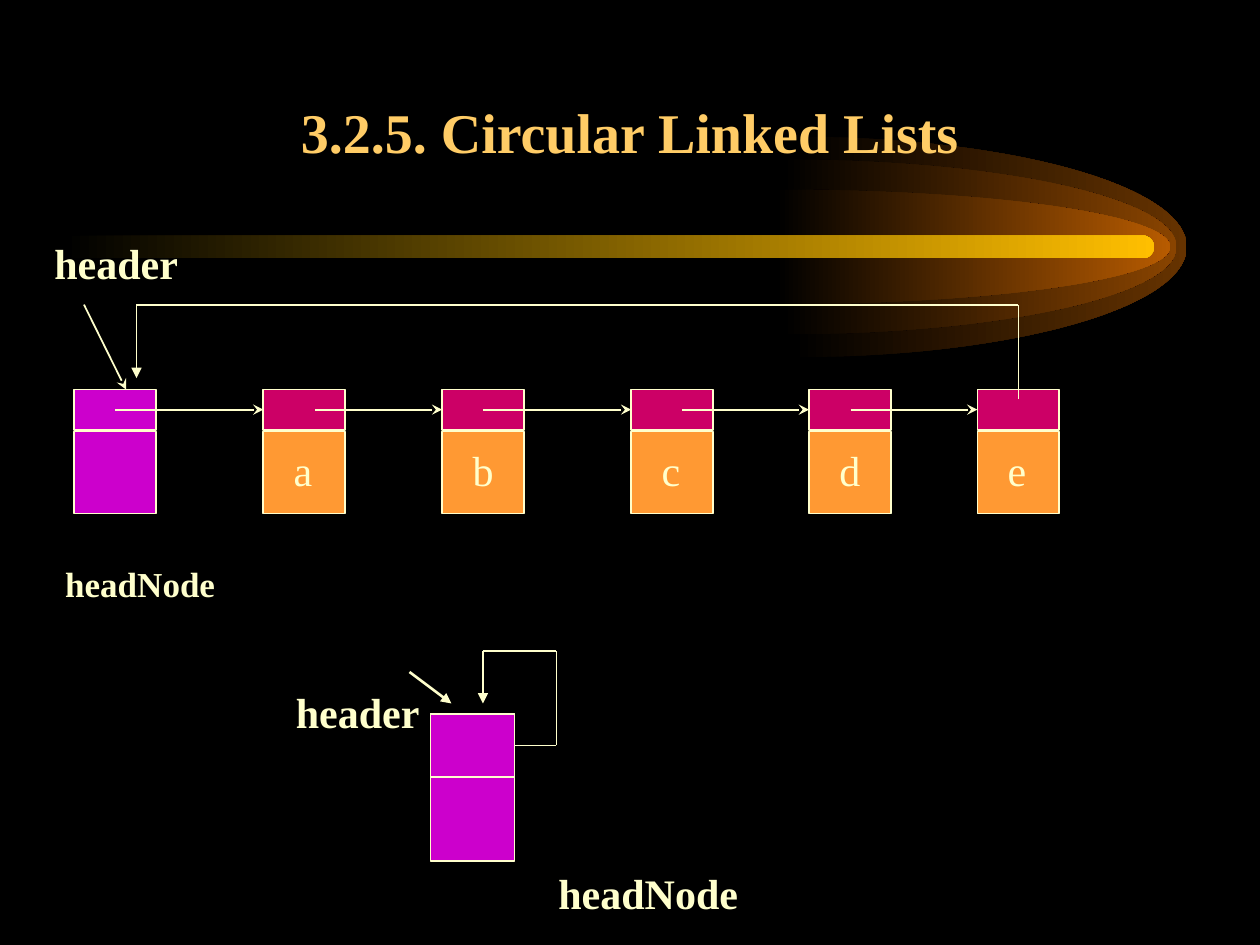
from lxml import etree
from pptx import Presentation
from pptx.dml.color import RGBColor
from pptx.enum.shapes import MSO_CONNECTOR, MSO_SHAPE
from pptx.enum.text import MSO_ANCHOR, MSO_AUTO_SIZE, PP_ALIGN
from pptx.oxml.ns import qn
from pptx.util import Pt

STRAIGHT = MSO_CONNECTOR.STRAIGHT
RECTANGLE = MSO_SHAPE.RECTANGLE
ROUNDED = MSO_SHAPE.ROUNDED_RECTANGLE
MIDDLE = MSO_ANCHOR.MIDDLE
CENTER = PP_ALIGN.CENTER
GROW = MSO_AUTO_SIZE.SHAPE_TO_FIT_TEXT
LEFT_SIDE, RIGHT_SIDE = 1, 3

BLACK = RGBColor(0x00, 0x00, 0x00)
CREAM = RGBColor(0xFF, 0xFF, 0xCC)
GOLD = RGBColor(0xFF, 0xCC, 0x66)
ORANGE = RGBColor(0xFF, 0x99, 0x33)
CRIMSON = RGBColor(0xCC, 0x00, 0x66)
MAGENTA = RGBColor(0xCC, 0x00, 0xCC)
TAIL_YELLOW = RGBColor(0xFF, 0xBF, 0x00)
OUTER_GLOW = RGBColor(0x66, 0x33, 0x00)
MIDDLE_GLOW = RGBColor(0x89, 0x44, 0x00)
INNER_GLOW = RGBColor(0xB7, 0x5B, 0x00)

FONT = "Times New Roman"
NODE_WIDTH = 46.8
POINTER_HEIGHT = 23
DATA_OFFSET = 24
CURVE = 0.5523


def format_text(frame, size, color, bold=False):
    """Set the font of every run in a text frame."""
    for paragraph in frame.paragraphs:
        for run in paragraph.runs:
            run.font.name = FONT
            run.font.size = Pt(size)
            run.font.bold = bold
            run.font.color.rgb = color


def add_label(slide, left, top, width, text, size=24, bold=True, wrap=True):
    """Place a one-line label."""
    label = slide.shapes.add_textbox(Pt(left), Pt(top), Pt(width), Pt(size * 1.5))
    frame = label.text_frame
    frame.word_wrap = wrap
    frame.auto_size = GROW
    frame.text = text
    format_text(frame, size, CREAM, bold)


def add_cell(slide, left, top, width, height, color):
    """Draw one outlined compartment of a node."""
    cell = slide.shapes.add_shape(RECTANGLE, Pt(left), Pt(top), Pt(width), Pt(height))
    cell.shadow.inherit = False
    cell.fill.solid()
    cell.fill.fore_color.rgb = color
    cell.line.color.rgb = CREAM
    cell.line.width = Pt(1)
    return cell


def add_line(slide, start, end, head=None, width=1):
    """Draw a straight line, with an arrowhead at its end if one is named."""
    points = [Pt(value) for value in (*start, *end)]
    line = slide.shapes.add_connector(STRAIGHT, *points)
    line.line.color.rgb = CREAM
    line.line.width = Pt(width)
    properties = line.element.spPr
    if head:
        etree.SubElement(properties.find(qn("a:ln")), qn("a:tailEnd"), type=head)
    etree.SubElement(properties, qn("a:effectLst"))
    return line


def fade_from_black(shape, color):
    """Fill a shape with a left-to-right gradient and no outline."""
    shape.shadow.inherit = False
    shape.line.fill.background()
    shape.fill.gradient()
    shape.fill.gradient_angle = 0
    first, last = shape.fill.gradient_stops
    first.color.rgb = BLACK
    last.color.rgb = color


def add_half_ellipse(slide, left, middle, width, half_height, color):
    """Draw the right half of an ellipse with two curves, fading from black."""
    outline = [(0, -1), (CURVE, -1), (1, -CURVE), (1, 0),
               (1, CURVE), (CURVE, 1), (0, 1), (0, 0)]
    points = [(Pt(left + width * x), Pt(middle + half_height * y)) for x, y in outline]
    builder = slide.shapes.build_freeform(*points[0])
    builder.add_line_segments(points[1:], close=True)
    glow = builder.convert_to_shape()
    segments = list(glow.element.iter(qn("a:lnTo")))
    for first in (0, 3):
        curve = segments[first]
        curve.tag = qn("a:cubicBezTo")
        for segment in segments[first + 1:first + 3]:
            curve.append(segment[0])
            segment.getparent().remove(segment)
    fade_from_black(glow, color)


def add_comet(slide, left, middle, width):
    """Draw the comet with its three glows and its bright tail."""
    glows = [(416.9, 63, OUTER_GLOW), (411.1, 50, MIDDLE_GLOW), (407.5, 32.8, INNER_GLOW)]
    for offset, half_height, color in glows:
        add_half_ellipse(slide, left + offset, middle, 225.2, half_height, color)
    tail = slide.shapes.add_shape(
        ROUNDED, Pt(left), Pt(middle - 6.5), Pt(width), Pt(13))
    tail.adjustments[0] = 0.5
    fade_from_black(tail, TAIL_YELLOW)


def add_title(slide, left, top, width, height, text):
    """Fill the title placeholder and bring it in front of the comet."""
    title = slide.shapes.title
    title.left, title.top, title.width, title.height = map(
        Pt, (left, top, width, height))
    title.text_frame.text = text
    title.text_frame.vertical_anchor = MIDDLE
    title.text_frame.paragraphs[0].alignment = CENTER
    format_text(title.text_frame, 32, GOLD, bold=True)
    title.element.getparent().append(title.element)


def add_node(slide, left, top, pointer_color, data_color, letter):
    """Draw a list node and return its pointer cell."""
    add_cell(slide, left, top + DATA_OFFSET, NODE_WIDTH, NODE_WIDTH, data_color)
    pointer = add_cell(slide, left, top, NODE_WIDTH, POINTER_HEIGHT, pointer_color)
    if letter:
        add_label(slide, left + 10.2, top + 28, 26, letter, bold=False, wrap=False)
    return pointer


def add_circular_list(slide, left, top):
    """Draw the full list, its links and the link back to the head node."""
    nodes = [(0, ""), (108, "a"), (210.2, "b"), (318.2, "c"), (419.8, "d"), (516, "e")]
    link_starts = [23.5, 137.5, 233.5, 347.5, 443.5]
    pointers = []
    for offset, letter in nodes:
        colors = (CRIMSON, ORANGE) if letter else (MAGENTA, MAGENTA)
        pointers.append(add_node(slide, left + offset, top, *colors, letter))

    link_y = top + POINTER_HEIGHT / 2
    for start, (offset, _), target in zip(link_starts, nodes[1:], pointers[1:]):
        link = add_line(slide, (left + start, link_y), (left + offset, link_y), "stealth")
        link.end_connect(target, LEFT_SIDE)

    return_y, return_x, last_x = top - 48.5, left + 35.5, left + 539.5
    add_line(slide, (last_x, top + 5.5), (last_x, return_y))
    add_line(slide, (last_x, return_y), (return_x, return_y))
    add_line(slide, (return_x, return_y), (return_x, top - 6.5), "triangle")

    add_label(slide, left - 18.5, top - 90.5, 132, "header")
    add_line(slide, (left + 5.5, return_y), (left + 29.5, top), "stealth")
    add_label(slide, left - 12.3, top + 95.5, 114, "headNode", size=20)


def add_empty_list(slide, left, top):
    """Draw the empty list, whose head node points to itself."""
    add_cell(slide, left, top, 48, 84, MAGENTA)
    pointer = add_cell(slide, left, top, 48, 36, MAGENTA)

    loop_x, loop_y, entry_x, exit_y = left + 72, top - 36, left + 30, top + 18
    exit_line = add_line(slide, (left + 48, exit_y), (loop_x, exit_y))
    exit_line.begin_connect(pointer, RIGHT_SIDE)
    add_line(slide, (loop_x, exit_y), (loop_x, loop_y))
    add_line(slide, (loop_x, loop_y), (entry_x, loop_y))
    add_line(slide, (entry_x, loop_y), (entry_x, top - 6), "triangle", 1.25)

    add_line(slide, (left - 12, top - 24), (left + 12, top - 6), "triangle", 1.5)
    add_label(slide, left - 84, top - 19, 96, "header")
    add_label(slide, left + 66, top + 84, 156, "headNode")


def main():
    """Build the slide and save it."""
    presentation = Presentation()
    presentation.slide_width, presentation.slide_height = Pt(720), Pt(540)
    slide = presentation.slides.add_slide(presentation.slide_layouts[5])
    slide.background.fill.solid()
    slide.background.fill.fore_color.rgb = BLACK
    add_comet(slide, 36, 141.1, 623.5)
    add_title(slide, 54, 30, 612, 90, "3.2.5. Circular Linked Lists")
    add_circular_list(slide, 42.5, 222.6)
    add_empty_list(slide, 246, 408)
    presentation.save("out.pptx")


if __name__ == "__main__":
    main()
